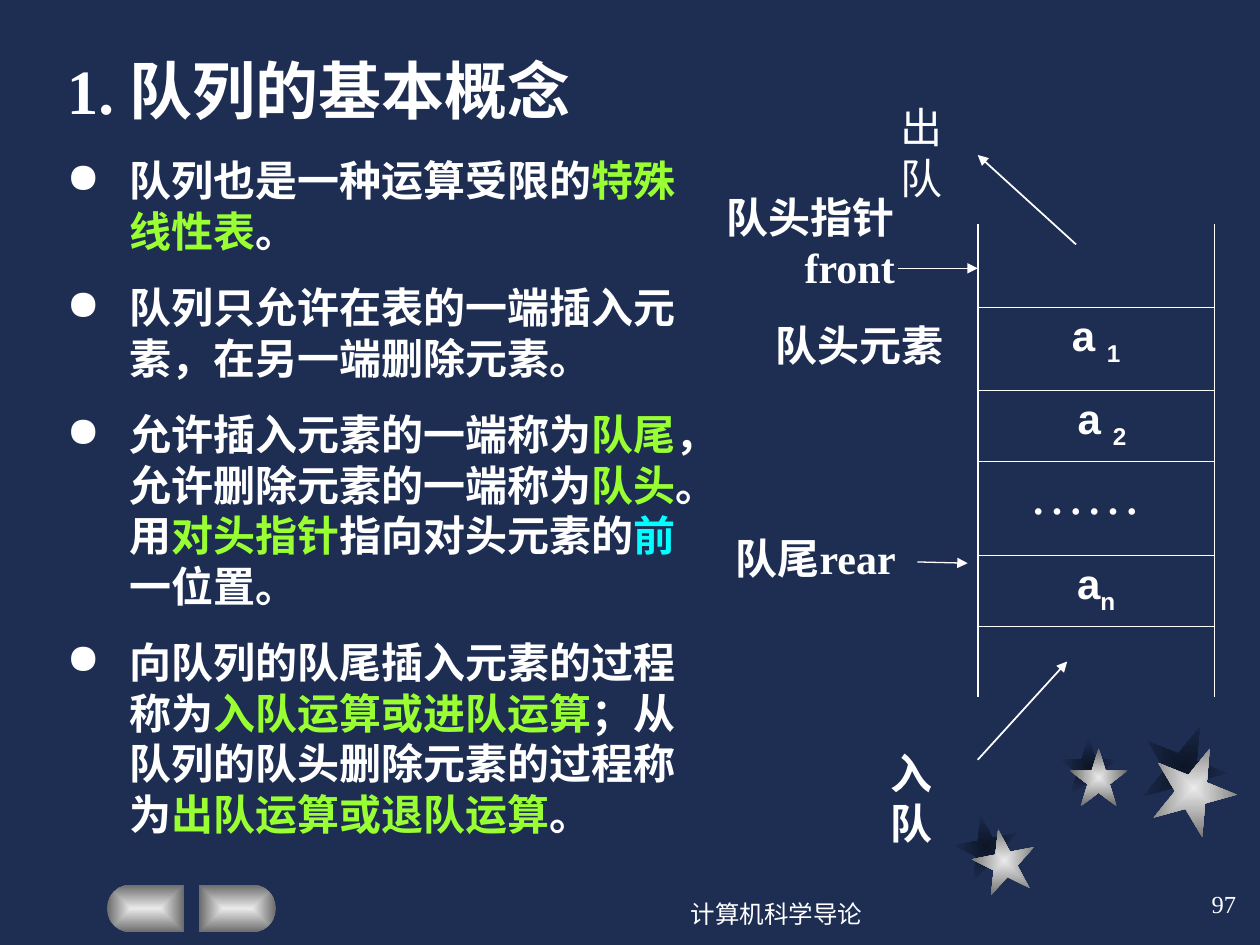
from math import cos, pi, sin

from lxml import etree
from pptx import Presentation
from pptx.dml.color import RGBColor
from pptx.enum.shapes import MSO_CONNECTOR, MSO_SHAPE
from pptx.enum.text import MSO_ANCHOR, MSO_AUTO_SIZE, PP_ALIGN
from pptx.oxml import parse_xml
from pptx.oxml.ns import nsdecls, qn
from pptx.util import Inches, Pt

COLORS = {
    "bg": "1E2E53", "white": "FFFFFF", "key": "99FF33", "front": "00FFFF",
    "silver": "EAEAEA", "gray": "6B6B6B", "shade": "0D1526",
}
SERIF, SANS = "Times New Roman", "Arial"

POINTS = [
    [("队列也是一种运算受限的", "white"), ("特殊线性表", "key"), ("。", "white")],
    [("队列只允许在表的一端插入元素，在另一端删除元素。", "white")],
    [("允许插入元素的一端称为", "white"), ("队尾", "key"),
     ("，允许删除元素的一端称为", "white"), ("队头", "key"), ("。用", "white"),
     ("对头指针", "key"), ("指向对头元素的", "white"), ("前", "front"),
     ("一位置。", "white")],
    [("向队列的队尾插入元素的过程称为", "white"), ("入队运算或进队运算", "key"),
     ("；从队列的队头删除元素的过程称为", "white"),
     ("出队运算或退队运算", "key"), ("。", "white")],
]
# Row height, element name and subscript
QUEUE_ROWS = [(0.66, "", ""), (0.66, "a ", "1"), (0.56, " a ", "2"),
              (0.75, "", ""), (0.56, "a", "n"), (0.56, "", "")]


def rgb(name):
    return RGBColor.from_string(COLORS[name])


def add_run(p, text, color="white", **font):
    r = p.add_run()
    r.text = text
    for key, value in {"name": SERIF, "size": Pt(24), **font}.items():
        setattr(r.font, key, value)
    r.font.color.rgb = rgb(color)
    return r


def add_label(s, x, y, w, h, text, align=PP_ALIGN.LEFT, wrap=True,
              anchor=MSO_ANCHOR.TOP, **font):
    tf = s.shapes.add_textbox(Inches(x), Inches(y), Inches(w), Inches(h)).text_frame
    tf.word_wrap = wrap
    tf.vertical_anchor = anchor
    p = tf.paragraphs[0]
    p.alignment = align
    add_run(p, text, **font)


def add_arrow(s, x1, y1, x2, y2, width=0.75):
    line = s.shapes.add_connector(MSO_CONNECTOR.STRAIGHT, Inches(x1), Inches(y1),
                                  Inches(x2), Inches(y2))
    line.line.color.rgb = rgb("white")
    line.line.width = Pt(width)
    etree.SubElement(line.line._get_or_add_ln(), qn("a:tailEnd"), type="triangle")
    etree.SubElement(line._element.spPr, qn("a:effectLst"))


def fill_from_center(sp, inner, outer):
    sp.shadow.inherit = False
    sp.line.fill.background()
    sp.fill.background()
    no_fill = sp._element.spPr.find(qn("a:noFill"))
    no_fill.getparent().replace(no_fill, parse_xml(
        f'<a:gradFill rotWithShape="1" {nsdecls("a")}><a:gsLst>'
        f'<a:gs pos="0"><a:srgbClr val="{COLORS[inner]}"/></a:gs>'
        f'<a:gs pos="100000"><a:srgbClr val="{COLORS[outer]}"/></a:gs></a:gsLst>'
        '<a:path path="rect"><a:fillToRect l="50000" t="50000" r="50000" b="50000"/>'
        '</a:path></a:gradFill>'))


def add_stars(s, x, y):
    # Offset, size, rotation, and the offset of the dark star behind
    stars = [(0, 0.66, 0.5, 349, -0.14, -0.11),
             (0.77, 0.02, 0.46, 0, -0.08, -0.09),
             (1.42, 0, 0.67, 22, -0.08, -0.17)]
    for is_shade, inner, outer in ((1, "shade", "bg"), (0, "silver", "gray")):
        for dx, dy, size, turn, shade_x, shade_y in stars:
            sp = s.shapes.add_shape(
                MSO_SHAPE.STAR_5_POINT, Inches(x + dx + is_shade * shade_x),
                Inches(y + dy + is_shade * shade_y), Inches(size), Inches(size))
            sp.rotation = turn
            fill_from_center(sp, inner, outer)


def add_buttons(s, x, y, w=0.61, h=0.38, gap=0.12):
    middle = x + w + gap / 2
    radius, steps = h / 2, 12
    for side in (-1, 1):
        flat = middle + side * gap / 2
        arc_x = flat + side * (w - radius)
        arc = [(arc_x + side * radius * sin(pi * i / steps),
                y + radius - radius * cos(pi * i / steps)) for i in range(steps + 1)]
        outline = s.shapes.build_freeform(Inches(flat), Inches(y))
        outline.add_line_segments(
            [(Inches(px), Inches(py)) for px, py in arc + [(flat, y + h)]])
        fill_from_center(outline.convert_to_shape(), "silver", "gray")


def add_title(s, x, y, w, h):
    title = s.shapes.title
    title.left, title.top, title.width, title.height = map(Inches, (x, y, w, h))
    tf = title.text_frame
    tf.vertical_anchor = MSO_ANCHOR.TOP
    tf.auto_size = MSO_AUTO_SIZE.NONE
    p = tf.paragraphs[0]
    p.alignment = PP_ALIGN.LEFT
    add_run(p, "1. 队列的基本概念", size=Pt(36), bold=True)


def add_points(s, x, y, w, h):
    tf = s.shapes.add_textbox(Inches(x), Inches(y), Inches(w), Inches(h)).text_frame
    tf.word_wrap = True
    for i, runs in enumerate(POINTS):
        p = tf.add_paragraph() if i else tf.paragraphs[0]
        pPr = p._p.get_or_add_pPr()
        pPr.set("marL", str(Inches(0.5)))
        pPr.set("indent", str(Inches(-0.5)))
        etree.SubElement(pPr, qn("a:buChar"), char="●")
        if i:
            p.space_before = Pt(15)
        for text, color in runs:
            add_run(p, text, color, bold=True)


def set_borders(cell, widths):
    tcPr = cell._tc.get_or_add_tcPr()
    for i, (side, width) in enumerate(widths.items()):
        fill = (f'<a:solidFill><a:srgbClr val="{COLORS["white"]}"/></a:solidFill>'
                if width else "<a:noFill/>")
        tcPr.insert(i, parse_xml(
            f'<a:ln{side} w="{Pt(width)}" {nsdecls("a")}>{fill}</a:ln{side}>'))


def add_queue(s, x, y, w):
    # Table of the queue, open at both ends
    last = len(QUEUE_ROWS) - 1
    height = sum(row[0] for row in QUEUE_ROWS)
    table = s.shapes.add_table(last + 1, 1, Inches(x), Inches(y),
                               Inches(w), Inches(height)).table
    table.first_row = table.horz_banding = False
    for i, (row_height, name, index) in enumerate(QUEUE_ROWS):
        table.rows[i].height = Inches(row_height)
        cell = table.cell(i, 0)
        cell.fill.background()
        set_borders(cell, {"L": 1.08, "R": 1.08, "T": 0.45 if i else 0,
                           "B": 0.45 if i < last else 0})
        if name:
            p = cell.text_frame.paragraphs[0]
            p.alignment = PP_ALIGN.CENTER
            add_run(p, name, name=SANS, bold=True)
            sub = add_run(p, index, name=SANS, bold=True)
            sub.font._element.set("baseline", "-25000")
    add_label(s, x + 0.31, y + 1.81, 1.14, 0.64, "……", size=Pt(32))

    # Pointers and labels on the left
    right = PP_ALIGN.RIGHT
    add_label(s, x - 2.13, y - 0.31, 1.57, 0.9, "队头指针front", right, bold=True)
    add_label(s, x - 1.74, y + 0.71, 1.57, 0.5, "队头元素", right, bold=True)
    add_label(s, x - 2.02, y + 2.4, 1.54, 0.5, "队尾rear", bold=True)
    add_arrow(s, x - 0.63, y + 0.35, x, y + 0.35)
    add_arrow(s, x - 0.48, y + 2.68, x - 0.08, y + 2.69)

    # Leaving and entering the queue
    add_label(s, x - 0.71, y - 1.02, 0.86, 0.5, "出队", wrap=False)
    add_label(s, x - 0.79, y + 4.1, 0.86, 0.5, "入队", wrap=False, bold=True)
    add_arrow(s, x + 0.78, y + 0.16, x, y - 0.55, 1)
    add_arrow(s, x, y + 4.25, x + 0.71, y + 3.47, 1)


def add_footer(s, x, y):
    style = {"anchor": MSO_ANCHOR.MIDDLE, "size": Pt(14)}
    add_label(s, x, y + 0.08, 3.17, 0.5, "计算机科学导论", PP_ALIGN.CENTER, **style)
    add_label(s, x + 3.25, y, 2.08, 0.5, "97", PP_ALIGN.RIGHT, **style)


def main():
    prs = Presentation()
    prs.slide_width, prs.slide_height = Inches(10), Inches(7.5)
    s = prs.slides.add_slide(prs.slide_layouts[5])
    s.background.fill.solid()
    s.background.fill.fore_color.rgb = rgb("bg")
    add_stars(s, 7.72, 5.92)
    add_buttons(s, 0.85, 7.02)
    add_title(s, 0.43, 0.36, 5.28, 0.75)
    add_points(s, 0.43, 1.18, 5.28, 5.52)
    add_queue(s, 7.76, 1.78, 1.88)
    add_footer(s, 4.58, 6.92)
    prs.save("out.pptx")


if __name__ == "__main__":
    main()
